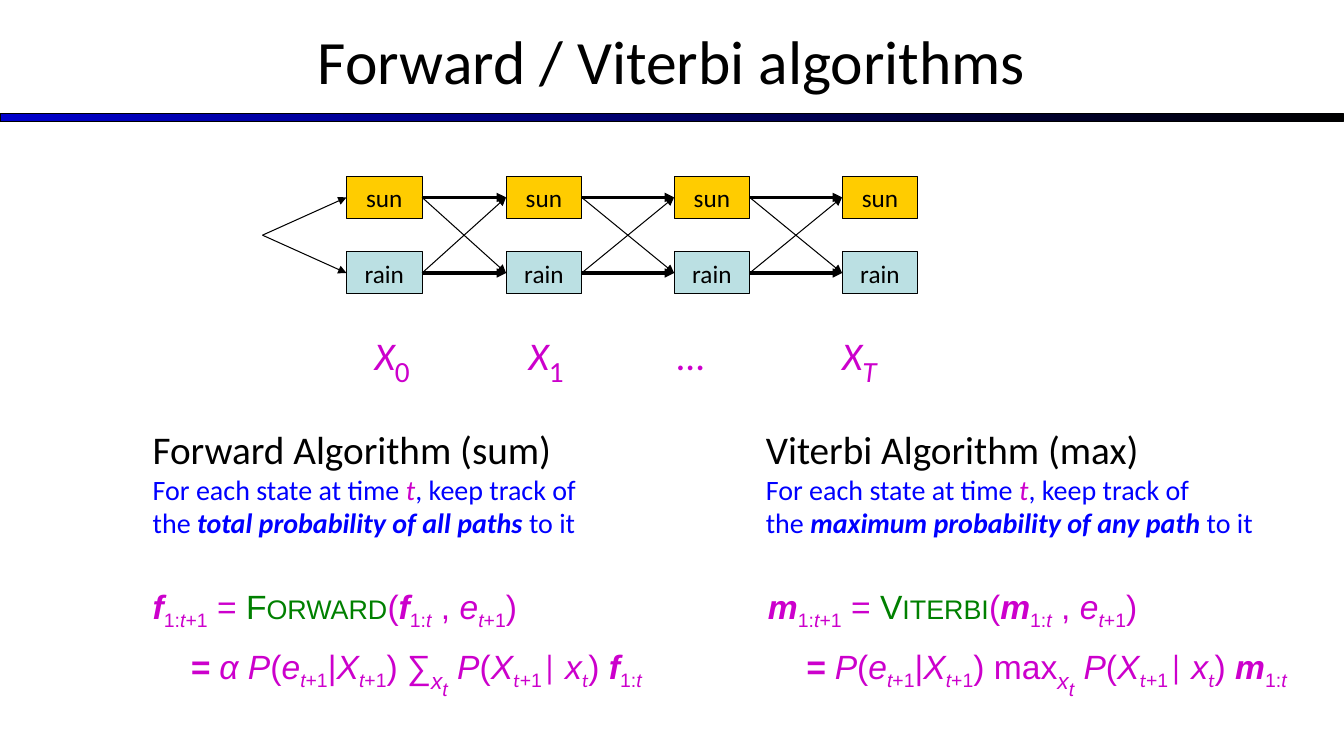
from itertools import pairwise, product

from lxml.etree import SubElement
from pptx import Presentation
from pptx.dml.color import RGBColor
from pptx.enum.shapes import MSO_CONNECTOR, MSO_SHAPE
from pptx.enum.text import MSO_ANCHOR, PP_ALIGN
from pptx.oxml.ns import qn
from pptx.util import Pt

COLORS = {
    "black": "000000",
    "blue": "0000FF",
    "bar": "0000CC",
    "magenta": "CC00CC",
    "green": "008000",
    "sun": "FFCC00",
    "rain": "BBE0E3",
}
TOP, LEFT, BOTTOM, RIGHT = range(4)

PLAIN = {"name": "Calibri", "size": Pt(18), "color": "black"}
HEADING = PLAIN | {"size": Pt(28)}
NOTE = PLAIN | {"size": Pt(20), "color": "blue"}
STRONG_NOTE = NOTE | {"bold": True, "italic": True}
TIME_NOTE = NOTE | {"color": "magenta", "italic": True}
LABEL = HEADING | {"color": "magenta"}
VARIABLE = LABEL | {"italic": True}
INDEX = LABEL | {"size": Pt(36), "baseline": -25}
MATH = {"name": "Arial", "size": Pt(24), "color": "magenta"}
MATH_ITALIC = MATH | {"italic": True}
MATH_BOLD = MATH_ITALIC | {"bold": True}
FUNCTION = MATH | {"color": "green", "cap": "small"}
SUB = MATH | {"baseline": -25}
SUB_ITALIC = SUB | {"italic": True}
SUB_CALIBRI = SUB_ITALIC | {"name": "Calibri"}
SUB_LARGE = SUB_ITALIC | {"size": Pt(28)}
SUB_LOW = SUB_ITALIC | {"baseline": -51}


def rgb(color):
    return RGBColor.from_string(COLORS[color])


def add_runs(paragraph, runs):
    for text, style in runs:
        run = paragraph.add_run()
        run.text = text
        for key, value in style.items():
            if key == "color":
                run.font.color.rgb = rgb(value)
            elif key == "baseline":
                run._r.get_or_add_rPr().set("baseline", str(value * 1000))
            elif key == "cap":
                run._r.get_or_add_rPr().set("cap", value)
            else:
                setattr(run.font, key, value)


def add_text_frame(slide, left, top, width, height):
    text_frame = slide.shapes.add_textbox(Pt(left), Pt(top), Pt(width), Pt(height)).text_frame
    text_frame.word_wrap = True
    return text_frame


def add_header(slide, left, top, width, height):
    title = slide.shapes.title
    box = {"left": left, "top": top, "width": width, "height": height}
    for name, value in box.items():
        setattr(title, name, Pt(value))
    title.text_frame.vertical_anchor = MSO_ANCHOR.MIDDLE
    paragraph = title.text_frame.paragraphs[0]
    paragraph.alignment = PP_ALIGN.CENTER
    add_runs(paragraph, [("Forward / Viterbi algorithms", PLAIN | {"size": Pt(44)})])

    bar = slide.shapes.add_shape(
        MSO_SHAPE.RECTANGLE, Pt(left), Pt(top + 83.25), Pt(width), Pt(5.25))
    bar.shadow.inherit = False
    bar.fill.gradient()
    bar.fill.gradient_angle = 0
    for stop, position, color in zip(bar.fill.gradient_stops, (0, 1), ("bar", "black")):
        stop.position = position
        stop.color.rgb = rgb(color)
    bar.line.color.rgb = rgb("black")
    bar.line.width = Pt(0.75)


def add_state(slide, name, left, top, width, height):
    state = slide.shapes.add_shape(
        MSO_SHAPE.RECTANGLE, Pt(left), Pt(top), Pt(width), Pt(height))
    state.shadow.inherit = False
    state.fill.solid()
    state.fill.fore_color.rgb = rgb(name)
    state.line.color.rgb = rgb("black")
    state.line.width = Pt(0.75)
    state.text_frame.word_wrap = False
    state.text_frame.vertical_anchor = MSO_ANCHOR.MIDDLE
    paragraph = state.text_frame.paragraphs[0]
    paragraph.alignment = PP_ALIGN.CENTER
    add_runs(paragraph, [(name, PLAIN)])
    return state


def add_arrow(slide, target, weight, source=None, start=(0, 0)):
    connector = slide.shapes.add_connector(
        MSO_CONNECTOR.STRAIGHT, Pt(start[0]), Pt(start[1]), target.left, target.top)
    if source is not None:
        connector.begin_connect(source, RIGHT)
    connector.end_connect(target, LEFT)
    connector.line.color.rgb = rgb("black")
    connector.line.width = Pt(weight)
    SubElement(connector.line._get_or_add_ln(), qn("a:tailEnd"), type="triangle")
    SubElement(connector._element.spPr, qn("a:effectLst"))


def add_trellis(slide, left, top, width, height):
    state_width, state_height = 54, 30
    rows = {"sun": top, "rain": top + height - state_height}
    columns = [
        [add_state(slide, name, left + offset, row, state_width, state_height)
         for name, row in rows.items()]
        for offset in (60, 174, 294, width - state_width)
    ]
    for state in columns[0]:
        add_arrow(slide, state, 0.75, start=(left, top + height / 2))
    for sources, targets in pairwise(columns):
        for (i, source), (j, target) in product(enumerate(sources), enumerate(targets)):
            add_arrow(slide, target, 2.25 if i == j else 0.75, source)


def add_variable_labels(slide, left, top, width, height):
    paragraph = add_text_frame(slide, left, top, width, height).paragraphs[0]
    tab_list = SubElement(paragraph._p.get_or_add_pPr(), qn("a:tabLst"))
    for position in (13, 123, 229, 347):
        SubElement(tab_list, qn("a:tab"), pos=str(Pt(position)), algn="l")
    add_runs(paragraph, [
        ("\tX", VARIABLE), ("0", INDEX),
        ("\tX", VARIABLE), ("1", INDEX),
        ("\t…", LABEL),
        ("\tX", VARIABLE), ("T", INDEX | {"italic": True}),
    ])


def add_description(slide, heading, quantity, left, top, width, height):
    text_frame = add_text_frame(slide, left, top, width, height)
    add_runs(text_frame.paragraphs[0], [(heading, HEADING)])
    paragraph = text_frame.add_paragraph()
    add_runs(paragraph, [
        ("For each state at time ", NOTE), ("t", TIME_NOTE), (", keep track of", NOTE)])
    paragraph.add_line_break()
    add_runs(paragraph, [("the ", NOTE), (quantity + " ", STRONG_NOTE), ("to it", NOTE)])


def add_formula(slide, symbol, function, factor, operator, left, top, width, height):
    text_frame = add_text_frame(slide, left, top, width, height)
    message = [(symbol, MATH_BOLD), ("1:", SUB), ("t", SUB_ITALIC)]
    next_time = [("t", SUB_ITALIC), ("+1", SUB)]
    evidence = [("e", MATH_ITALIC), *next_time]
    add_runs(text_frame.paragraphs[0], [
        *message, ("+1", SUB), (" = ", MATH), (function, FUNCTION), ("(", MATH),
        *message, (" , ", MATH), *evidence, (")", MATH),
    ])
    paragraph = text_frame.add_paragraph()
    paragraph.space_before = Pt(6)
    paragraph._p.get_or_add_pPr().set("marL", str(Pt(27)))
    add_runs(paragraph, [
        ("= ", MATH_BOLD), (factor, MATH_ITALIC), ("(", MATH),
        *evidence, ("|", MATH), ("X", MATH_ITALIC), *next_time,
        (f") {operator}", MATH), ("x", SUB_LARGE), ("t", SUB_LOW),
        (" P", MATH_ITALIC), ("(", MATH), ("X", MATH_ITALIC),
        ("t", SUB_CALIBRI), ("+1", SUB), ("| ", MATH | {"name": "Calibri"}),
        ("x", MATH_ITALIC), ("t", SUB_CALIBRI), (") ", MATH), *message,
    ])


def main():
    presentation = Presentation()
    presentation.slide_width, presentation.slide_height = Pt(960), Pt(540)
    slide = presentation.slides.add_slide(presentation.slide_layouts[5])
    add_header(slide, 0, -2, 960, 90)
    add_trellis(slide, 187.5, 126, 468, 84)
    add_variable_labels(slide, 247.5, 225, 418, 41)
    add_description(slide, "Forward Algorithm (sum)", "total probability of all paths",
                    102, 300, 330, 90)
    add_description(slide, "Viterbi Algorithm (max)", "maximum probability of any path",
                    540, 300, 365, 90)
    add_formula(slide, "f", "Forward", "α P", "∑", 102, 415, 382, 94)
    add_formula(slide, "m", "Viterbi", "P", "max", 541.5, 415, 404, 94)
    presentation.save("out.pptx")


if __name__ == "__main__":
    main()
